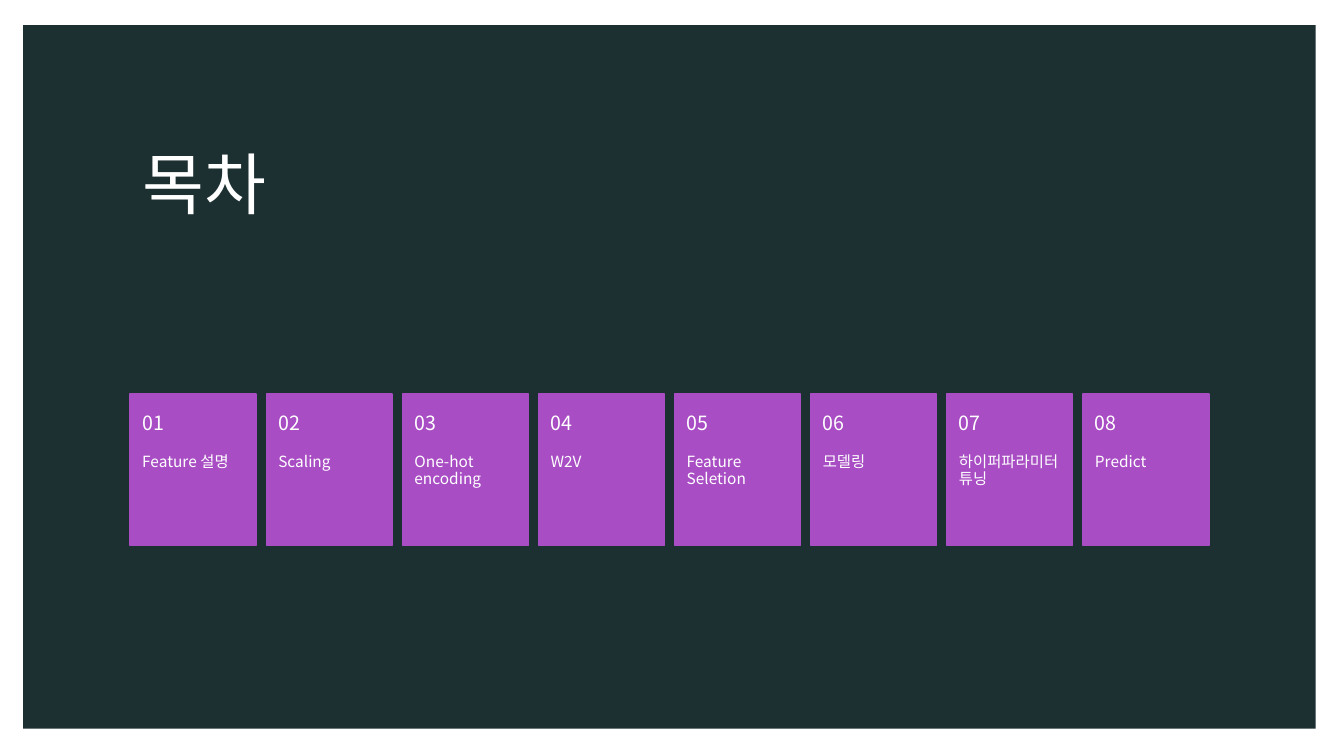
import pptx
import pptx.dml.color
import pptx.enum.shapes
import pptx.enum.text
import pptx.util
import lxml.etree

PX = 9144  # 100 px to the inch
FONT = "Noto Sans CJK KR"
WHITE, DARK, PURPLE = "FFFFFF", "1C2F31", "A84DC3"
TOP = pptx.enum.text.MSO_ANCHOR.TOP
MIDDLE = pptx.enum.text.MSO_ANCHOR.MIDDLE
RECTANGLE = pptx.enum.shapes.MSO_SHAPE.RECTANGLE
color = pptx.dml.color.RGBColor.from_string


def add_block(shapes, left, top, width, height, fill):
    block = shapes.add_shape(RECTANGLE, left * PX, top * PX, width * PX, height * PX)
    block.shadow.inherit = False
    block.fill.solid()
    block.fill.fore_color.rgb = color(fill)
    block.line.fill.background()
    return block


def write_text(box, text, size, anchor, insets, line_spacing):
    frame = box.text_frame
    frame.text = text
    frame.word_wrap = True
    frame.auto_size = pptx.enum.text.MSO_AUTO_SIZE.NONE
    frame.vertical_anchor = anchor
    (frame.margin_left, frame.margin_top,
     frame.margin_right, frame.margin_bottom) = [inset * PX for inset in insets]
    para = frame.paragraphs[0]
    para.alignment = pptx.enum.text.PP_ALIGN.LEFT
    para.line_spacing = line_spacing
    span = para.runs[0]
    span.font.size = pptx.util.Pt(size)
    span.font.name = FONT
    span.font.color.rgb = color(WHITE)
    # Hangul takes the East Asian font
    properties = span.font._element
    lxml.etree.SubElement(properties, pptx.oxml.ns.qn("a:ea"), typeface=FONT)
    return properties


deck = pptx.Presentation()
deck.slide_width = 1333 * PX
deck.slide_height = 750 * PX
page = deck.slides.add_slide(deck.slide_layouts[5])

# Dark panel in a white frame
page.background.fill.solid()
page.background.fill.fore_color.rgb = color(DARK)
add_block(page.shapes, 0, 0, 1333, 750, WHITE)
add_block(page.shapes, 23, 25, 1282, 698, DARK)

# Title, brought in front of the panel
title = page.shapes.title
page.shapes.element.append(title.element)
title.left, title.top = 129 * PX, 95 * PX
title.width, title.height = 1071 * PX, 167 * PX
write_text(title, "목차", 48, MIDDLE, (12, 12, 12, 10), 1.05).set("spc", "70")

# Row of numbered cards
topics = ["Feature 설명", "Scaling", "One-hot encoding", "W2V",
          "Feature Seletion", "모델링", "하이퍼파라미터 튜닝", "Predict"]
CARD_TOP, CARD_WIDTH, CARD_PITCH = 391, 125, 135
NUMBER_HEIGHT, TOPIC_HEIGHT = 60, 90

for index, topic in enumerate(topics):
    left = 129 + index * CARD_PITCH
    group = page.shapes.add_group_shape()
    card = add_block(group.shapes, left, CARD_TOP, CARD_WIDTH,
                     NUMBER_HEIGHT + TOPIC_HEIGHT, PURPLE)
    card.line.color.rgb = color(PURPLE)
    card.line.width = pptx.util.Pt(1)

    topic_box = group.shapes.add_textbox(left * PX, (CARD_TOP + NUMBER_HEIGHT) * PX,
                                         CARD_WIDTH * PX, TOPIC_HEIGHT * PX)
    write_text(topic_box, topic, 11, TOP, (12, 0, 12, 36), 0.9)

    number_box = group.shapes.add_textbox(left * PX, CARD_TOP * PX,
                                          CARD_WIDTH * PX, NUMBER_HEIGHT * PX)
    write_text(number_box, f"{index + 1:02d}", 14, MIDDLE, (12, 18, 12, 18), 0.9)

deck.save("out.pptx")
